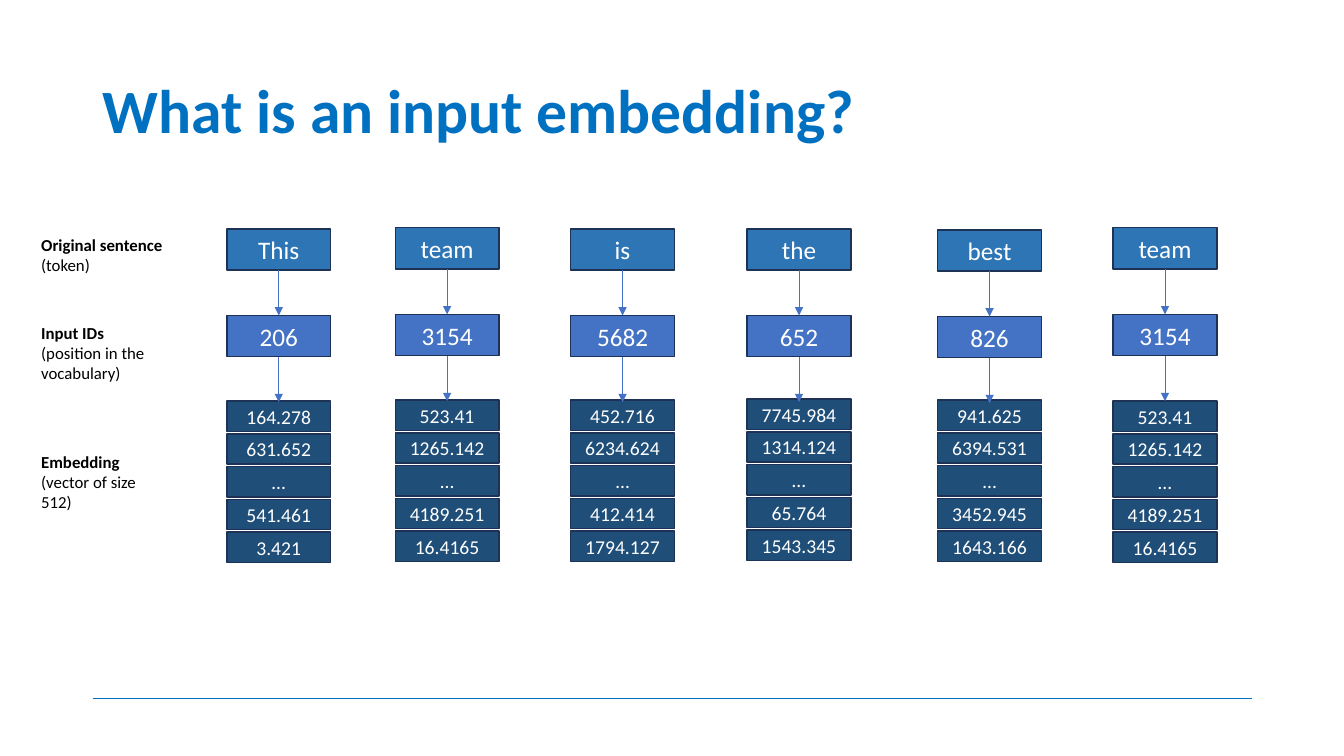
from lxml import etree
from pptx import Presentation
from pptx.dml.color import RGBColor
from pptx.enum.shapes import MSO_CONNECTOR, MSO_SHAPE
from pptx.enum.text import MSO_ANCHOR, PP_ALIGN
from pptx.oxml.ns import qn
from pptx.util import Inches, Pt

RECT = MSO_SHAPE.RECTANGLE
STRAIGHT = MSO_CONNECTOR.STRAIGHT
MIDDLE = MSO_ANCHOR.MIDDLE
CENTER = PP_ALIGN.CENTER

FONT = "Calibri"
COLORS = {
    "title": "0070C0",
    "token": "2E75B6",
    "id": "4472C4",
    "vector": "1F4E79",
    "border": "1E3256",
    "arrow": "4472C4",
    "label": "000000",
    "cell_text": "FFFFFF",
}

BOX_W, BOX_H, CELL_H = 1.03, 0.41, 0.3
ID_OFFSET = 0.86
ARROW_LEN = ID_OFFSET - BOX_H
CELL_STEP = 1.3 / 4

COLUMNS = [
    (2.25, 2.27, 3.98, "This", "206",
     ["164.278", "631.652", "…", "541.461", "3.421"]),
    (3.92, 2.26, 3.97, "team", "3154",
     ["523.41", "1265.142", "…", "4189.251", "16.4165"]),
    (5.66, 2.27, 3.97, "is", "5682",
     ["452.716", "6234.624", "…", "412.414", "1794.127"]),
    (7.41, 2.27, 3.96, "the", "652",
     ["7745.984", "1314.124", "…", "65.764", "1543.345"]),
    (9.3, 2.28, 3.97, "best", "826",
     ["941.625", "6394.531", "…", "3452.945", "1643.166"]),
    (11.04, 2.26, 3.98, "team", "3154",
     ["523.41", "1265.142", "…", "4189.251", "16.4165"]),
]

LABELS = [
    (2.28, 0.5, "Original sentence", "(token)"),
    (3.15, 0.71, "Input IDs", "(position in the vocabulary)"),
    (4.43, 0.71, "Embedding", "(vector of size 512)"),
]


def rgb(name):
    return RGBColor.from_string(COLORS[name])


def set_font(p, size, color, bold=False):
    p.font.name = FONT
    p.font.size = Pt(size)
    p.font.bold = bold
    p.font.color.rgb = rgb(color)


def add_line(s, x1, y1, x2, y2, color, arrow=False):
    line = s.shapes.add_connector(
        STRAIGHT, Inches(x1), Inches(y1), Inches(x2), Inches(y2))
    line.line.color.rgb = rgb(color)
    line.line.width = Pt(0.5)
    if arrow:
        etree.SubElement(line.line._get_or_add_ln(), qn("a:tailEnd"), type="triangle")
    etree.SubElement(line._element.spPr, qn("a:effectLst"))


def add_box(s, x, y, h, text, fill, size):
    sp = s.shapes.add_shape(RECT, Inches(x), Inches(y), Inches(BOX_W), Inches(h))
    sp.shadow.inherit = False
    sp.fill.solid()
    sp.fill.fore_color.rgb = rgb(fill)
    sp.line.color.rgb = rgb("border")
    sp.line.width = Pt(1)
    tf = sp.text_frame
    tf.vertical_anchor = MIDDLE
    p = tf.paragraphs[0]
    p.text = text
    p.alignment = CENTER
    set_font(p, size, "cell_text")


def add_text(s, x, y, w, h):
    tf = s.shapes.add_textbox(Inches(x), Inches(y), Inches(w), Inches(h)).text_frame
    tf.word_wrap = True
    return tf


def add_title(s, x, y, w, h, text):
    tf = add_text(s, x, y, w, h)
    tf.vertical_anchor = MIDDLE
    p = tf.paragraphs[0]
    p.text = text
    p.line_spacing = 0.9
    set_font(p, 44, "title", bold=True)


def add_label(s, x, y, w, h, heading, detail):
    tf = add_text(s, x, y, w, h)
    p = tf.paragraphs[0]
    p.text = heading
    set_font(p, 12, "label", bold=True)
    p = tf.add_paragraph()
    p.text = detail
    set_font(p, 12, "label")


def add_column(s, x, top, vector_top, token, token_id, vector):
    rows = [(top, token, "token"), (top + ID_OFFSET, token_id, "id")]
    for y, text, fill in rows:
        add_box(s, x, y, BOX_H, text, fill, 18)
    for i, value in enumerate(vector):
        add_box(s, x, vector_top + i * CELL_STEP, CELL_H, value, "vector", 14)
    center = x + BOX_W / 2
    for y, _, _ in rows:
        start = y + BOX_H
        add_line(s, center, start, center, start + ARROW_LEN, "arrow", arrow=True)


def main():
    prs = Presentation()
    prs.slide_width = Inches(13.33)
    prs.slide_height = Inches(7.5)
    s = prs.slides.add_slide(prs.slide_layouts[6])
    add_line(s, 0.92, 6.93, 12.42, 6.93, "title")
    add_title(s, 0.92, 0.4, 11.5, 1.45, "What is an input embedding?")
    for y, h, heading, detail in LABELS:
        add_label(s, 0.31, y, 1.41, h, heading, detail)
    for column in COLUMNS:
        add_column(s, *column)
    prs.save("out.pptx")


if __name__ == "__main__":
    main()
